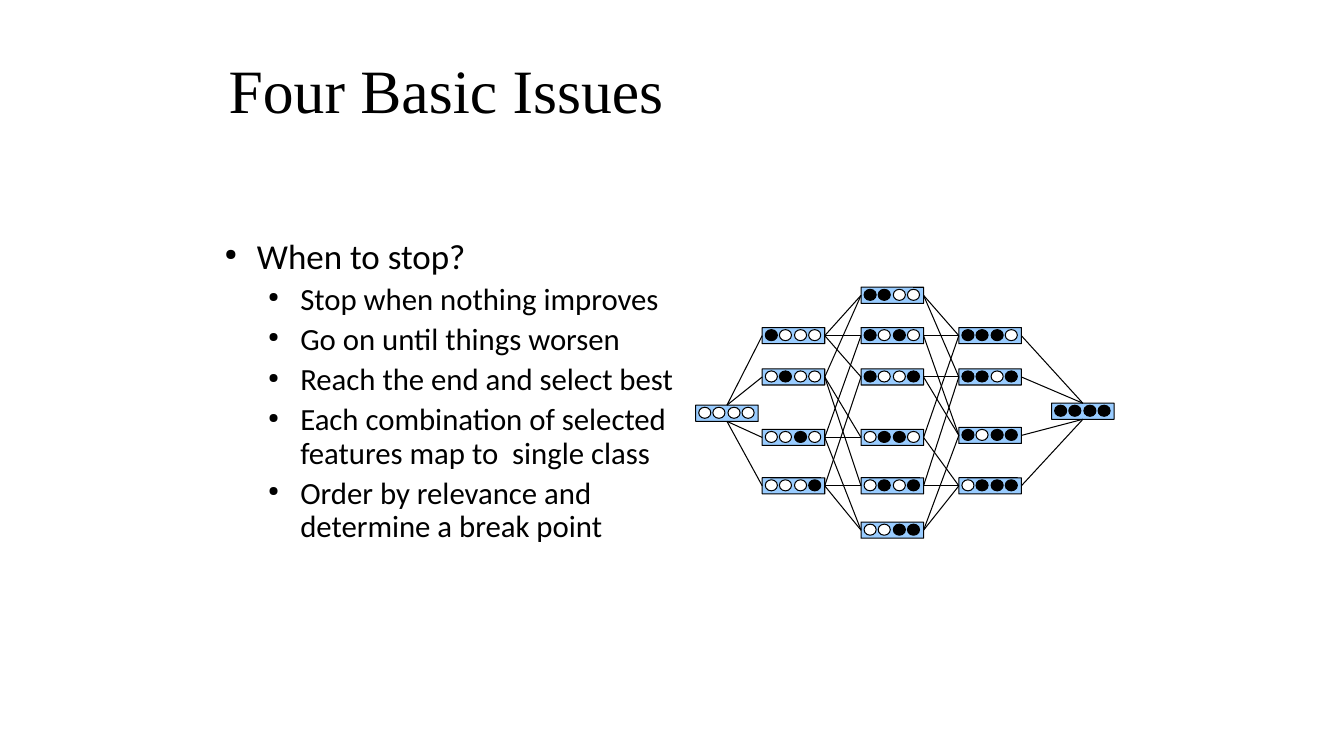
from itertools import product

from lxml.etree import SubElement
from pptx import Presentation
from pptx.dml.color import RGBColor
from pptx.enum.shapes import MSO_CONNECTOR, MSO_SHAPE
from pptx.enum.text import MSO_ANCHOR
from pptx.oxml.ns import qn
from pptx.util import Pt

EMU_PER_PX = 9144  # 100 px to the inch
COLORS = {"ink": "000000", "empty": "FFFFFF", "node": "99CCFF"}
NODE_WIDTH, NODE_HEIGHT = 62, 16

# Feature subsets by column: left edge, then the top of each node.
COLUMNS = [
    (690, {"0000": 402}),
    (756, {"1000": 325, "0100": 366, "0010": 426, "0001": 474}),
    (854, {"1100": 285, "1010": 325, "1001": 366,
           "0110": 426, "0101": 474, "0011": 518}),
    (951, {"1110": 325, "1101": 366, "1011": 424, "0111": 474}),
    (1043, {"1111": 400}),
]

BULLETS = [
    (0, "When to stop?"),
    (1, "Stop when nothing improves"),
    (1, "Go on until things worsen"),
    (1, "Reach the end and select best"),
    (1, "Each combination of selected features map to  single class"),
    (1, "Order by relevance and determine a break point"),
]


def px(length):
    return round(length * EMU_PER_PX)


def color(name):
    return RGBColor.from_string(COLORS[name])


class SlideBuilder:
    """Holds the style and the slide being drawn."""

    title_font, body_font = "Times New Roman", "Calibri"
    line_width = Pt(0.75)

    def __init__(self, slide):
        self.slide = slide

    def text_frame(self, left, top, width, height):
        box = self.slide.shapes.add_textbox(px(left), px(top), px(width), px(height))
        box.text_frame.word_wrap = True
        return box.text_frame

    def run(self, paragraph, text, font, size):
        run = paragraph.add_run()
        run.text = text
        run.font.name = font
        run.font.size = Pt(size)
        run.font.color.rgb = color("ink")

    def title(self, text, *box):
        frame = self.text_frame(*box)
        frame.vertical_anchor = MSO_ANCHOR.MIDDLE
        frame.margin_top = px(3)
        paragraph = frame.paragraphs[0]
        paragraph.line_spacing = 0.95
        self.run(paragraph, text, self.title_font, 44)

    def bullet_list(self, items, *box):
        frame = self.text_frame(*box)
        for index, (level, text) in enumerate(items):
            paragraph = frame.add_paragraph() if index else frame.paragraphs[0]
            paragraph.level = level
            paragraph.line_spacing = 0.9
            paragraph.space_before = Pt(5 if level else 10)
            properties = paragraph._p.get_or_add_pPr()
            properties.set("marL", str(px(43 * (level + 1))))
            properties.set("indent", str(px(-32)))
            SubElement(properties, qn("a:buSzPct"), val="45000")
            SubElement(properties, qn("a:buChar"), char="●")
            self.run(paragraph, text, self.body_font, 22 if level else 25)

    def shape(self, kind, fill, left, top, width, height):
        shape = self.slide.shapes.add_shape(
            kind, px(left), px(top), px(width), px(height))
        shape.shadow.inherit = False
        shape.fill.solid()
        shape.fill.fore_color.rgb = color(fill)
        shape.line.color.rgb = color("ink")
        shape.line.width = self.line_width
        return shape

    def node(self, bits, left, top):
        """Draw a feature subset: one dot per feature, filled when selected."""
        frame = self.shape(MSO_SHAPE.ROUNDED_RECTANGLE, "node",
                           left, top, NODE_WIDTH, NODE_HEIGHT)
        frame.adjustments[0] = 0.004
        for index, bit in enumerate(bits):
            self.shape(MSO_SHAPE.OVAL, "ink" if bit == "1" else "empty",
                       left + round(3 + index * 43 / 3), top + 2, 12, 11)

    def line(self, start, end):
        connector = self.slide.shapes.add_connector(
            MSO_CONNECTOR.STRAIGHT, *map(px, (*start, *end)))
        connector.line.color.rgb = color("ink")
        connector.line.width = self.line_width
        SubElement(connector._element.spPr, qn("a:effectLst"))


def adds_one_feature(smaller, larger):
    return sum(a != b for a, b in zip(smaller, larger)) == 1


def anchor(column, bits, other_top, side):
    """Give the side's midpoint, or the top or bottom centre of a lone node."""
    left, tops = column
    top = tops[bits]
    if len(tops) == 1:
        edge = top if other_top < top else top + NODE_HEIGHT
        return left + NODE_WIDTH // 2, edge
    return left + side * NODE_WIDTH, top + NODE_HEIGHT // 2


def draw_lattice(builder):
    for left, tops in COLUMNS:
        for bits, top in tops.items():
            builder.node(bits, left, top)
    for column, following in zip(COLUMNS, COLUMNS[1:]):
        for smaller, larger in product(column[1], following[1]):
            if adds_one_feature(smaller, larger):
                builder.line(anchor(column, smaller, following[1][larger], 1),
                             anchor(following, larger, column[1][smaller], 0))


def main():
    presentation = Presentation()
    presentation.slide_width, presentation.slide_height = px(1333), px(750)
    builder = SlideBuilder(presentation.slides.add_slide(presentation.slide_layouts[6]))
    builder.title("Four Basic Issues", 217, 30, 900, 125)
    builder.bullet_list(BULLETS, 202, 232, 482, 429)
    draw_lattice(builder)
    presentation.save("out.pptx")


if __name__ == "__main__":
    main()
